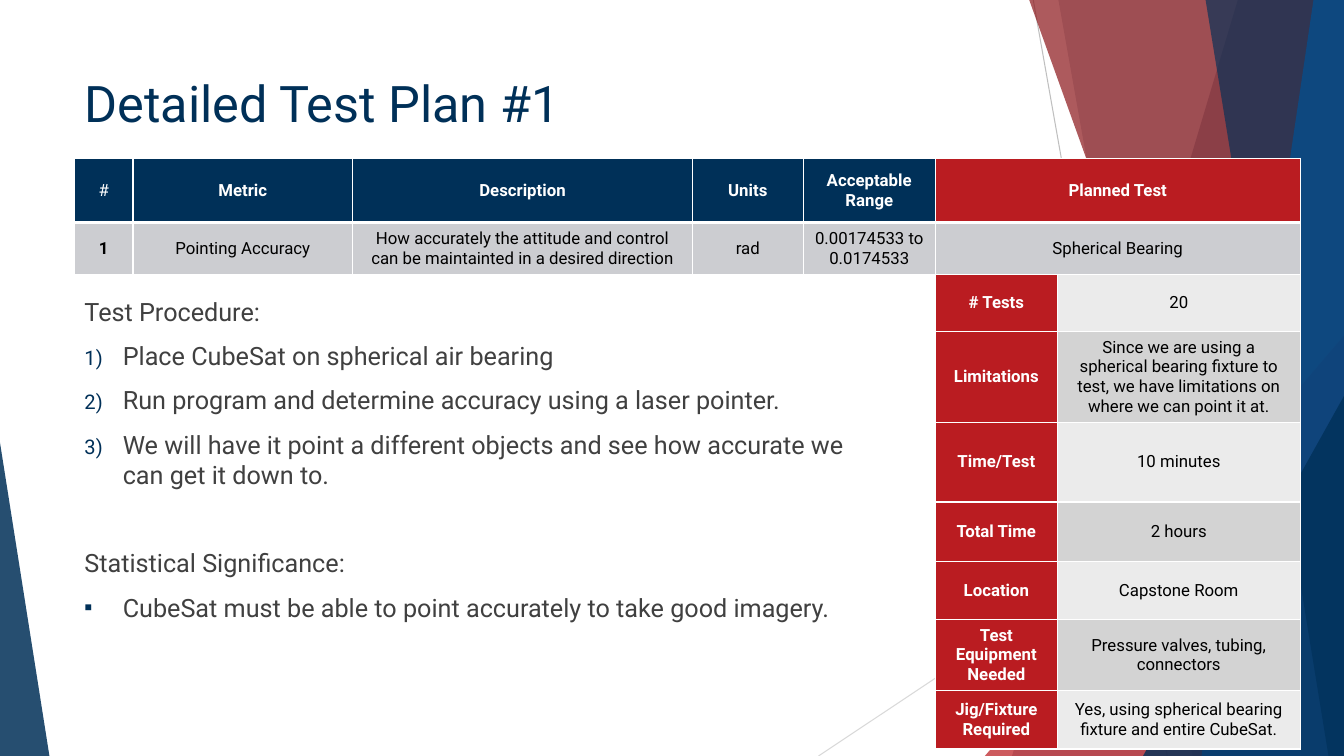
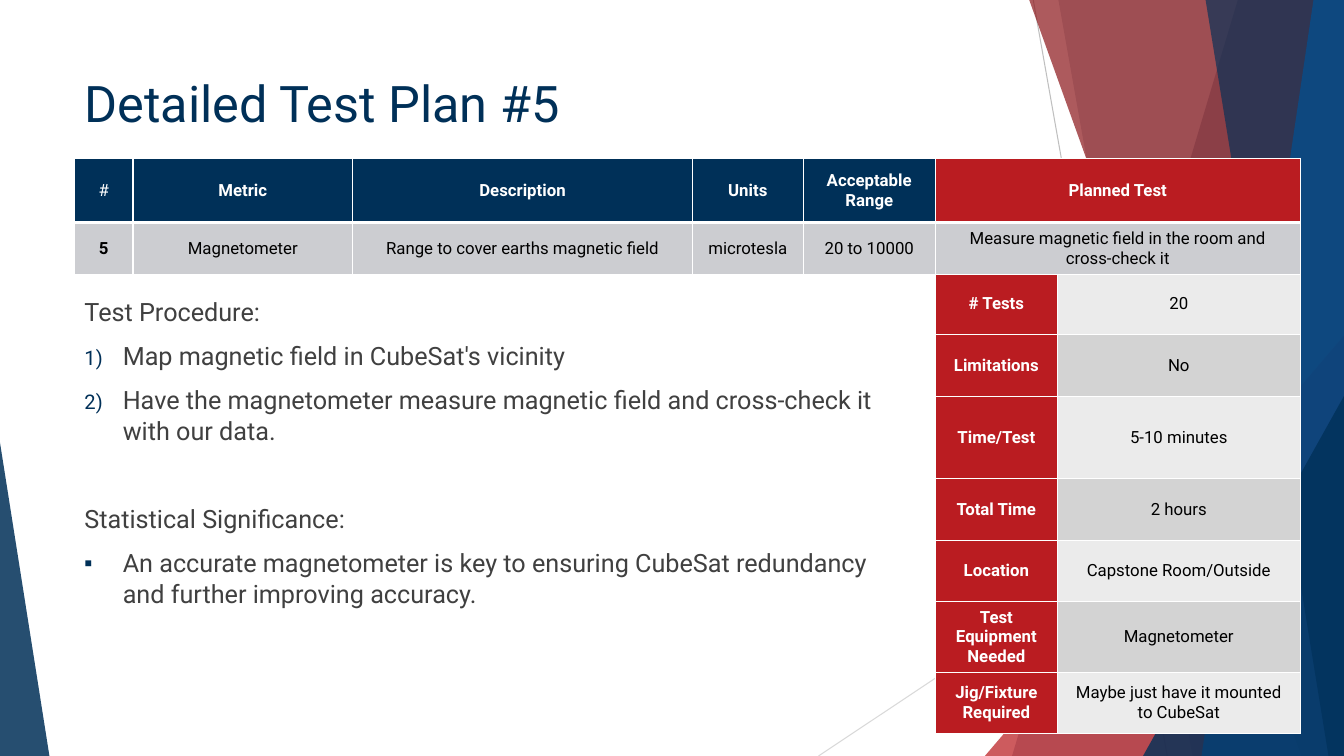
"""Build the detailed test plan slides."""
import dataclasses

import pptx
import pptx.dml.color
import pptx.enum.shapes
import pptx.enum.text
import pptx.oxml
import pptx.oxml.ns
import pptx.util

RGBColor = pptx.dml.color.RGBColor
NAVY = RGBColor(0x00, 0x30, 0x58)
RED = RGBColor(0xBA, 0x1C, 0x21)
DARK_RED = RGBColor(0x8B, 0x15, 0x19)
BLUE = RGBColor(0x02, 0x8C, 0xFF)
WHITE = RGBColor(0xFF, 0xFF, 0xFF)
BLACK = RGBColor(0x00, 0x00, 0x00)
BODY_GREY = RGBColor(0x40, 0x40, 0x40)
METRIC_GREY = RGBColor(0xCC, 0xCD, 0xD1)
BANDS = (RGBColor(0xEB, 0xEB, 0xEB), RGBColor(0xD3, 0xD3, 0xD3))
STEEP_LINE = RGBColor(0xBF, 0xBF, 0xBF)
SHALLOW_LINE = RGBColor(0xD9, 0xD9, 0xD9)

WIDTH = pptx.util.Inches(13.33)
HEIGHT = pptx.util.Inches(7.5)
COLUMN = WIDTH / 100
ROW = HEIGHT / 100

TITLE_FONT = {"name": "Roboto", "size": pptx.util.Pt(36)}
BODY_FONT = {"name": "Roboto", "size": pptx.util.Pt(18)}
CELL_FONT = {"name": "Roboto", "size": pptx.util.Pt(12)}
CENTRED = pptx.enum.text.PP_ALIGN.CENTER
MIDDLE = pptx.enum.text.MSO_ANCHOR.MIDDLE
HANGING = pptx.util.Inches(0.38)
STEP_MARK = '<a:buAutoNum %s type="arabicParenR"/>'
POINT_MARK = '<a:buChar %s char="▪"/>'

METRIC_HEADINGS = ("#", "Metric", "Description", "Units", "Acceptable\nRange", "Planned Test")
METRIC_COLUMNS = (0.58, 2.18, 3.37, 1.1, 1.31, 3.62)
HEADING_ROWS = (0.65, 0.5)
DETAIL_LABELS = ("# Tests", "Limitations", "Time/Test", "Total Time", "Location",
                 "Test\nEquipment\nNeeded", "Jig/Fixture\nRequired")
DETAIL_COLUMNS = (1.21, 2.41)


@dataclasses.dataclass(frozen=True)
class Box:
    """A region measured in columns and rows of the slide's 100 by 100 grid."""

    left: float
    top: float
    width: float
    height: float

    def point(self, x, y):
        """Return the place of a percentage point of the region."""
        return (round((self.left + self.width * x / 100) * COLUMN),
                round((self.top + self.height * y / 100) * ROW))

    def frame(self):
        """Return left, top, width and height as slide lengths."""
        return (round(self.left * COLUMN), round(self.top * ROW),
                round(self.width * COLUMN), round(self.height * ROW))


@dataclasses.dataclass(frozen=True)
class Plan:
    """The content of one test plan."""

    number: str
    metric: tuple
    steps: tuple
    significance: str
    details: tuple
    detail_rows: tuple
    details_height: float


FULL_SLIDE = Box(0, 0, 100, 100)
TITLE_BOX = Box(5.55, 8.93, 70.5, 19.2)
BODY_BOX = Box(5.55, 38.53, 61.05, 59.73)
HEADING_BOX = Box(5.55, 20.93, 91.2, 15.33)
RULE_BOXES = (Box(5.55, 29.33, 91.2, 6.8), Box(5.55, 29.33, 91.2, 6.53))
METRIC_BOX = Box(5.55, 29.6, 91.2, 6.53)

PLANS = (
    Plan("1",
         ("Pointing Accuracy",
          "How accurately the attitude and control can be maintainted in a desired direction",
          "rad", "0.00174533 to 0.0174533", "Spherical Bearing"),
         ("Place CubeSat on spherical air bearing",
          "Run program and determine accuracy using a laser pointer.",
          "We will have it point a different objects and see how accurate we can get it down to."),
         "CubeSat must be able to point accurately to take good imagery.",
         ("20",
          "Since we are using a spherical bearing fixture to test, we have limitations on "
          "where we can point it at.",
          "10 minutes", "2 hours", "Capstone Room", "Pressure valves, tubing, connectors",
          "Yes, using spherical bearing fixture and entire CubeSat."),
         (0.58, 0.86, 0.79, 0.59, 0.58, 0.67, 0.58), 62),
    Plan("5",
         ("Magnetometer", "Range to cover earths magnetic field", "microtesla", "20 to 10000",
          "Measure magnetic field in the room and cross-check it"),
         ("Map magnetic field in CubeSat's vicinity",
          "Have the magnetometer measure magnetic field and cross-check it with our data."),
         "An accurate magnetometer is key to ensuring CubeSat redundancy and further "
         "improving accuracy.",
         ("20", "No", "5-10 minutes", "2 hours", "Capstone Room/Outside", "Magnetometer",
          "Maybe just have it mounted to CubeSat"),
         (0.61, 0.61, 0.82, 0.61, 0.61, 0.61, 0.61), 59.73),
)


def set_font(run, values, color, bold=False):
    """Apply a font format, colour and weight to a run."""
    for attribute, value in {**values, "bold": bold}.items():
        setattr(run.font, attribute, value)
    run.font.color.rgb = color


def paint(shape, color, opacity):
    """Give a shape a translucent fill without line or shadow."""
    shape.shadow.inherit = False
    shape.fill.solid()
    shape.fill.fore_color.rgb = color
    shade = next(shape.element.spPr.iter(pptx.oxml.ns.qn("a:srgbClr")))
    shade.append(pptx.oxml.parse_xml(
        f'<a:alpha {pptx.oxml.ns.nsdecls("a")} val="{opacity * 1000}"/>'))
    shape.line.fill.background()


def add_panel(slide, box, top_x, bottom_x, color, opacity):
    """Draw a slanted panel that reaches the right edge of the box."""
    outline = slide.shapes.build_freeform(*box.point(top_x, 0), scale=1.0)
    outline.add_line_segments([box.point(100, 0), box.point(100, 100), box.point(bottom_x, 100)])
    paint(outline.convert_to_shape(), color, opacity)


def add_wedge(slide, box, apex, color, opacity):
    """Draw a triangle that fills the box, with its apex at a share of the width."""
    wedge = slide.shapes.add_shape(
        pptx.enum.shapes.MSO_SHAPE.ISOSCELES_TRIANGLE, *box.frame())
    wedge.adjustments[0] = apex
    paint(wedge, color, opacity)


def add_hairline(slide, start, end, color):
    """Draw a thin straight line."""
    hairline = slide.shapes.add_connector(
        pptx.enum.shapes.MSO_CONNECTOR.STRAIGHT, *start, *end)
    hairline.line.color.rgb = color
    hairline.line.width = pptx.util.Pt(0.75)
    hairline.element.spPr.append(
        pptx.oxml.parse_xml(f'<a:effectLst {pptx.oxml.ns.nsdecls("a")}/>'))


def add_backdrop(slide, box):
    """Draw the faceted bands shared by all slides."""
    add_hairline(slide, box.point(76.88, 0), box.point(86.85, 100), STEEP_LINE)
    add_hairline(slide, box.point(100, 53.73), box.point(60.9, 100), SHALLOW_LINE)
    add_panel(slide, box, 92.1, 75.3, NAVY, 30)
    add_panel(slide, box, 78.75, 88.73, NAVY, 20)
    add_wedge(slide, Box(73.28, 44.4, 26.72, 55.6), 1, RED, 72)
    add_panel(slide, box, 76.58, 96.83, DARK_RED, 70)
    add_panel(slide, box, 97.73, 89.4, BLUE, 70)
    add_panel(slide, box, 89.7, 98.85, NAVY, 65)
    add_wedge(slide, Box(85.05, 52.4, 14.95, 47.6), 1, NAVY, 80)
    add_wedge(slide, Box(0, 58.53, 3.68, 41.47), 0, NAVY, 85)


def add_text_frame(slide, box):
    """Add a wrapping text box and return its text frame."""
    frame = slide.shapes.add_textbox(*box.frame()).text_frame
    frame.word_wrap = True
    return frame


def add_title(slide, box, title):
    """Write the slide title."""
    run = add_text_frame(slide, box).paragraphs[0].add_run()
    run.text = title
    set_font(run, TITLE_FONT, NAVY)


def add_mark(paragraph, mark):
    """Give a paragraph a hanging indent with a number or bullet."""
    namespace = pptx.oxml.ns.nsdecls("a")
    properties = paragraph._p.get_or_add_pPr()
    properties.set("marL", str(HANGING))
    properties.set("indent", str(-HANGING))
    for xml in (f'<a:buClr {namespace}><a:srgbClr val="{NAVY}"/></a:buClr>',
                f'<a:buSzPct {namespace} val="80000"/>',
                f'<a:buFont {namespace} typeface="Roboto"/>', mark % namespace):
        properties.append(pptx.oxml.parse_xml(xml))


def add_procedure(slide, box, plan):
    """Write the numbered procedure and the statistical significance."""
    frame = add_text_frame(slide, box)
    lines = [("Test Procedure:", None, 0)]
    lines += [(step, STEP_MARK, 10) for step in plan.steps]
    lines += [("Statistical Significance:", None, 41.5), (plan.significance, POINT_MARK, 10)]
    for index, (text, mark, gap) in enumerate(lines):
        paragraph = frame.add_paragraph() if index else frame.paragraphs[0]
        if mark:
            add_mark(paragraph, mark)
        if gap:
            paragraph.space_before = pptx.util.Pt(gap)
        run = paragraph.add_run()
        run.text = text
        set_font(run, BODY_FONT, BODY_GREY)


def frame_cell(cell, fill=None, border=1, bottom=1):
    """Give a cell its fill, if any, and white borders."""
    if fill is None:
        cell.fill.background()
    else:
        cell.fill.solid()
        cell.fill.fore_color.rgb = fill
    properties = cell._tc.get_or_add_tcPr()
    for index, (side, points) in enumerate(zip("LRTB", (border, border, border, bottom))):
        properties.insert(index, pptx.oxml.parse_xml(
            f'<a:ln{side} {pptx.oxml.ns.nsdecls("a")} w="{pptx.util.Pt(points)}">'
            f'<a:solidFill><a:srgbClr val="{WHITE}"/></a:solidFill></a:ln{side}>'))


def fill_cell(cell, text, fill, color, bold, bottom=1):
    """Write a centred cell with a fill and white borders."""
    cell.text = text
    cell.vertical_anchor = MIDDLE
    for paragraph in cell.text_frame.paragraphs:
        paragraph.alignment = CENTRED
        for run in paragraph.runs:
            set_font(run, CELL_FONT, color, bold)
    frame_cell(cell, fill, bottom=bottom)


def add_grid(slide, box, columns, rows=(1,)):
    """Add a plain table that shares the box out among its columns and rows."""
    left, top, width, height = box.frame()
    table = slide.shapes.add_table(len(rows), len(columns), left, top, width, height).table
    table.first_row = table.horz_banding = False
    for column, share in zip(table.columns, columns):
        column.width = round(width * share / sum(columns))
    for row, share in zip(table.rows, rows):
        row.height = round(height * share / sum(rows))
    return table


def add_heading_table(slide, box):
    """Draw the headings above a grey band."""
    table = add_grid(slide, box, METRIC_COLUMNS, HEADING_ROWS)
    for index, heading in enumerate(METRIC_HEADINGS):
        fill = RED if heading == METRIC_HEADINGS[-1] else NAVY
        fill_cell(table.cell(0, index), heading, fill, WHITE, index > 0, bottom=3)
        frame_cell(table.cell(1, index), METRIC_GREY)


def add_rule_table(slide, box):
    """Rule the band below the headings in white."""
    for cell in add_grid(slide, box, METRIC_COLUMNS).iter_cells():
        frame_cell(cell, border=0.75, bottom=0.75)


def add_metric_table(slide, box, plan):
    """Draw the row of the tested metric."""
    table = add_grid(slide, box, METRIC_COLUMNS)
    for index, value in enumerate((plan.number, *plan.metric)):
        fill_cell(table.cell(0, index), value, METRIC_GREY, BLACK, index == 0)


def add_detail_table(slide, box, plan):
    """Draw the labelled details of the planned test."""
    table = add_grid(slide, box, DETAIL_COLUMNS, plan.detail_rows)
    for index, (label, value) in enumerate(zip(DETAIL_LABELS, plan.details)):
        fill_cell(table.cell(index, 0), label, RED, WHITE, True)
        fill_cell(table.cell(index, 1), value, BANDS[index % 2], BLACK, False)


def add_plan_slide(deck, plan):
    """Add one test plan slide."""
    slide = deck.slides.add_slide(deck.slide_layouts[6])
    add_backdrop(slide, FULL_SLIDE)
    add_title(slide, TITLE_BOX, f"Detailed Test Plan #{plan.number}")
    add_procedure(slide, BODY_BOX, plan)
    add_heading_table(slide, HEADING_BOX)
    add_detail_table(slide, Box(69.6, 36.13, 27.15, plan.details_height), plan)
    for box in RULE_BOXES:
        add_rule_table(slide, box)
    add_metric_table(slide, METRIC_BOX, plan)


def main():
    """Build and save the deck."""
    deck = pptx.Presentation()
    deck.slide_width, deck.slide_height = WIDTH, HEIGHT
    for plan in PLANS:
        add_plan_slide(deck, plan)
    deck.save("out.pptx")


if __name__ == "__main__":
    main()
